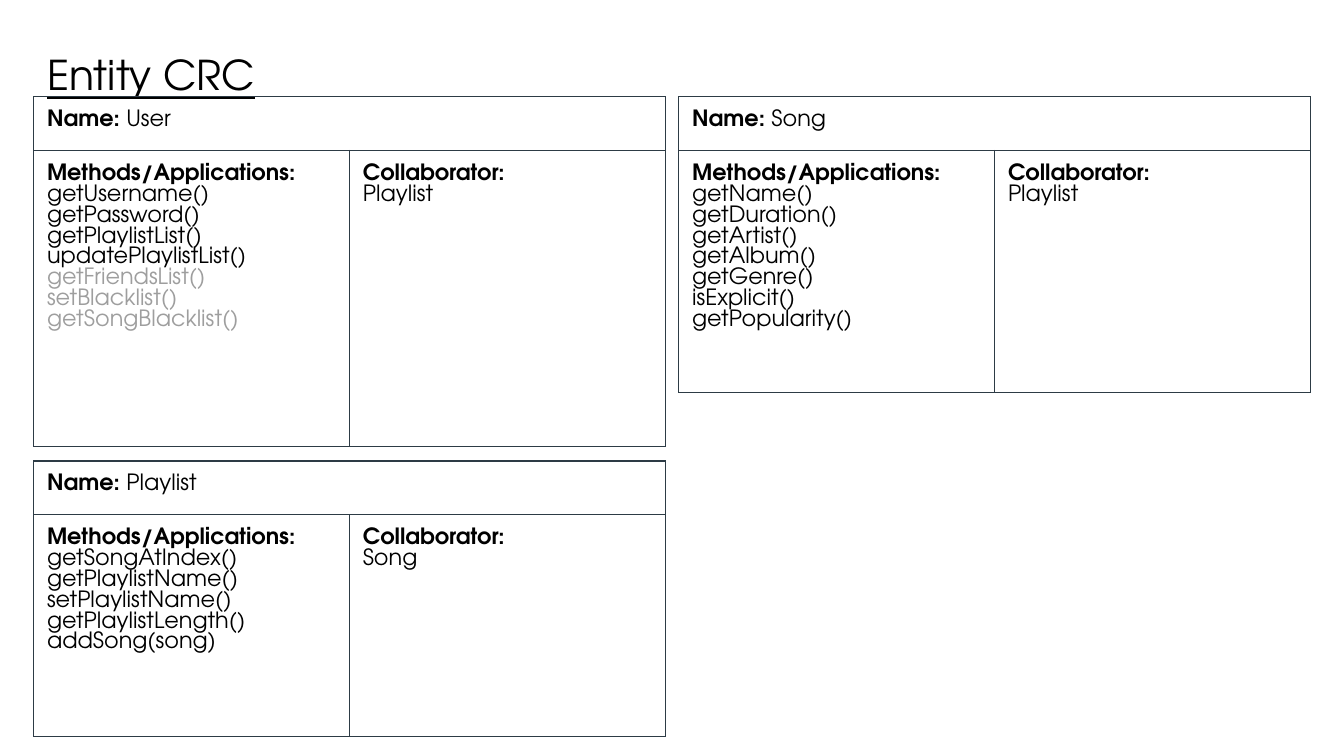
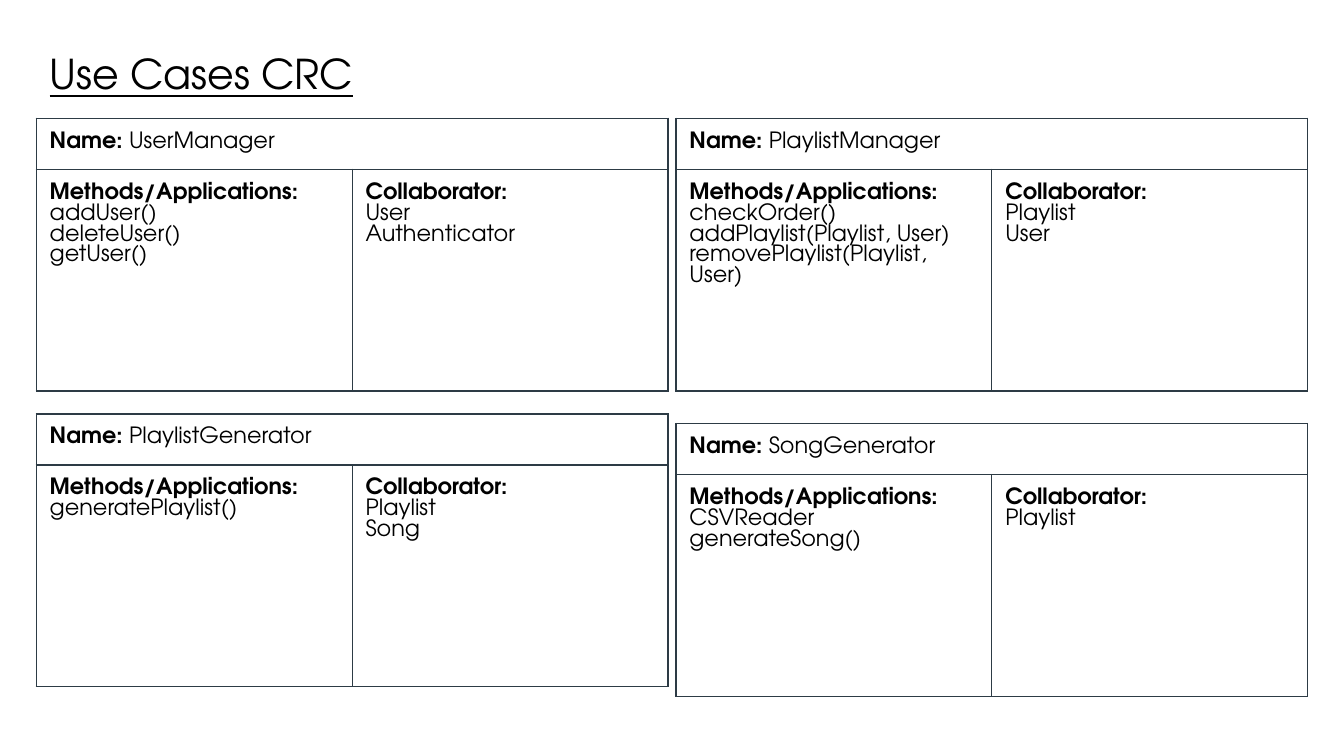
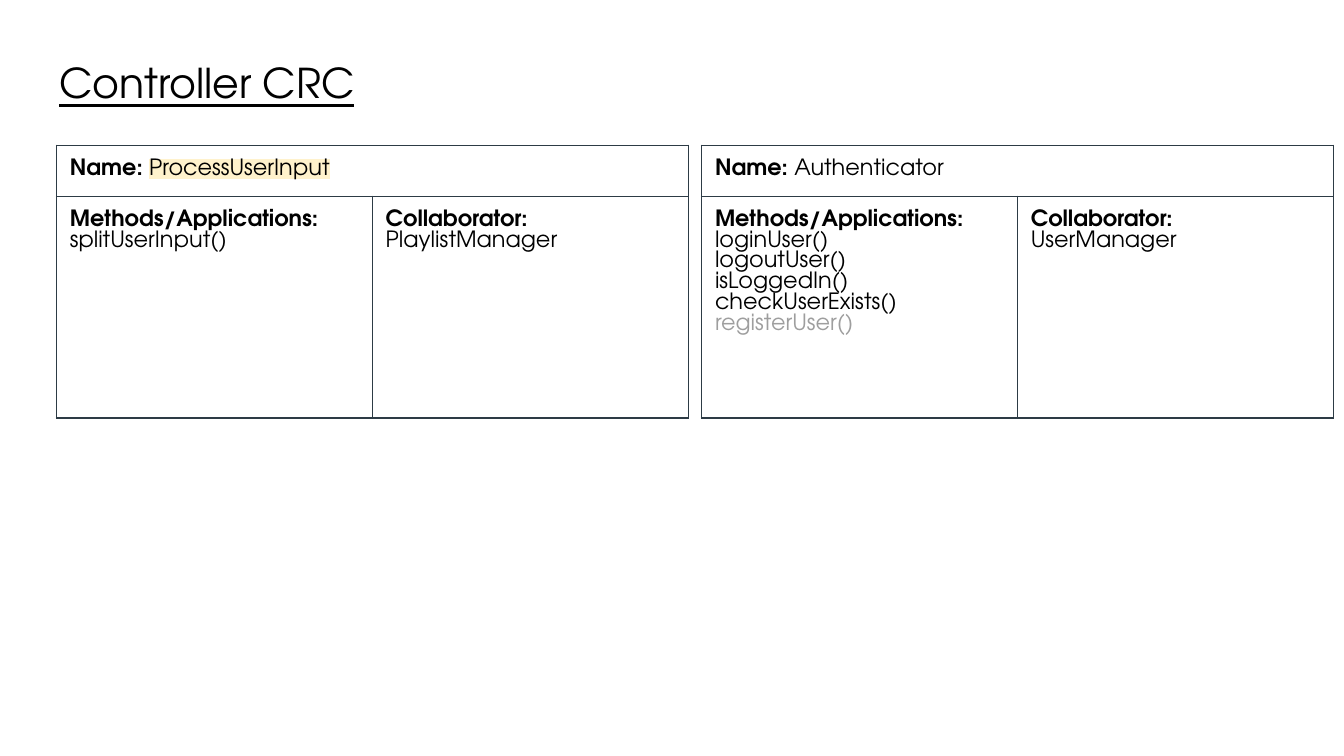
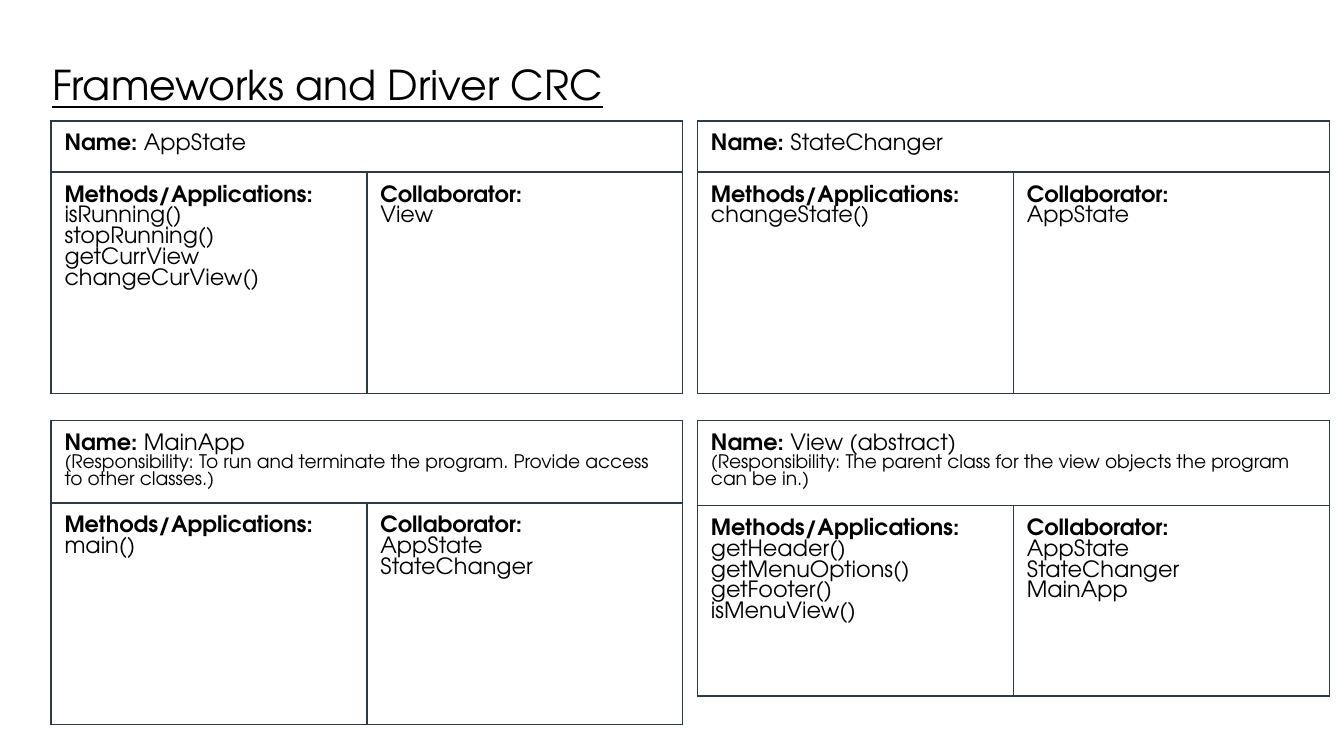
import dataclasses
import pptx
import pptx.dml.color
import pptx.enum.text
import pptx.oxml
import pptx.oxml.ns
import pptx.util

Inches = pptx.util.Inches
Pt = pptx.util.Pt

BLACK = pptx.dml.color.RGBColor(0x00, 0x00, 0x00)
GREY = pptx.dml.color.RGBColor(0x9E, 0x9E, 0x9E)
BORDER = pptx.dml.color.RGBColor(0x2D, 0x3B, 0x45)
CREAM = pptx.dml.color.RGBColor(0xFF, 0xF2, 0xCC)

FONT = "TeX Gyre Adventor"
TITLE = {"name": FONT, "size": Pt(22), "underline": True, "bold": False}
LABEL = {"name": FONT, "size": Pt(12), "bold": True}
ENTRY = {"name": FONT, "size": Pt(12), "bold": False}
NOTE = {"name": FONT, "size": Pt(10), "bold": False}

INSET = Inches(0.1)
FRAME = {f"margin_{side}": INSET for side in ("left", "right", "top", "bottom")}
TITLE_FRAME = {
    **FRAME,
    "word_wrap": True,
    "auto_size": pptx.enum.text.MSO_AUTO_SIZE.NONE,
    "vertical_anchor": pptx.enum.text.MSO_ANCHOR.TOP,
}
CELL_FRAME = {**FRAME, "vertical_anchor": pptx.enum.text.MSO_ANCHOR.TOP}
COLUMN_WIDTH = 2.35


@dataclasses.dataclass
class Card:
    name: str
    methods: list
    collaborators: list
    planned: tuple = ()
    responsibility: str = ""
    highlighted: bool = False
    name_height: float = 0.38
    body_height: float = 1.65


def set_format(target, values):
    for attribute, value in values.items():
        setattr(target, attribute, value)


def add_span(para, text, style, color=BLACK):
    span = para.add_run()
    span.text = text
    set_format(span.font, style)
    span.font.color.rgb = color
    return span


def highlight(span, color):
    fill = span.font.fill._xPr.find(pptx.oxml.ns.qn("a:solidFill"))
    fill.addnext(pptx.oxml.parse_xml(
        f'<a:highlight {pptx.oxml.ns.nsdecls("a")}>'
        f'<a:srgbClr val="{color}"/></a:highlight>'))


def format_cell(cell):
    set_format(cell, CELL_FRAME)
    cell.fill.background()
    properties = cell._tc.get_or_add_tcPr()
    for position, side in enumerate("LRTB"):
        properties.insert(position, pptx.oxml.parse_xml(
            f'<a:ln{side} {pptx.oxml.ns.nsdecls("a")} w="{Pt(0.75)}">'
            f'<a:solidFill><a:srgbClr val="{BORDER}"/></a:solidFill></a:ln{side}>'))


def fill_list(cell, label, entries, planned=()):
    frame = cell.text_frame
    add_span(frame.paragraphs[0], label, LABEL)
    for entry in entries:
        add_span(frame.add_paragraph(), entry, ENTRY)
    for entry in planned:
        add_span(frame.add_paragraph(), entry, ENTRY, GREY)


def fill_name(cell, card):
    frame = cell.text_frame
    add_span(frame.paragraphs[0], "Name: ", LABEL)
    name = add_span(frame.paragraphs[0], card.name, ENTRY)
    if card.highlighted:
        highlight(name, CREAM)
    if card.responsibility:
        add_span(frame.add_paragraph(), f"(Responsibility: {card.responsibility})", NOTE)


def add_card(page, left, top, card):
    heights = (card.name_height, card.body_height)
    table = page.shapes.add_table(
        2, 2, Inches(left), Inches(top),
        Inches(2 * COLUMN_WIDTH), Inches(sum(heights))).table
    table.first_row = table.horz_banding = False
    for column in table.columns:
        column.width = Inches(COLUMN_WIDTH)
    for row, height in zip(table.rows, heights):
        row.height = Inches(height)
    for cell in table.iter_cells():
        format_cell(cell)
    table.cell(0, 0).merge(table.cell(0, 1))
    fill_name(table.cell(0, 0), card)
    fill_list(table.cell(1, 0), "Methods/Applications:", card.methods, card.planned)
    fill_list(table.cell(1, 1), "Collaborator:", card.collaborators)


def add_title(page, text, box):
    title = page.shapes.title
    set_format(title, dict(zip(("left", "top", "width", "height"), map(Inches, box))))
    set_format(title.text_frame, TITLE_FRAME)
    para = title.text_frame.paragraphs[0]
    para.alignment = pptx.enum.text.PP_ALIGN.LEFT
    add_span(para, text, TITLE)


def add_card_page(deck, title, title_box, cards):
    page = deck.slides.add_slide(deck.slide_layouts[5])
    add_title(page, title, title_box)
    for left, top, card in cards:
        add_card(page, left, top, card)


deck = pptx.Presentation()
deck.slide_width = Inches(10)
deck.slide_height = deck.slide_width * 9 // 16

add_card_page(deck, "Entity CRC", (0.25, 0.27, 3.2, 0.57), [
    (0.25, 0.72, Card(
        "User",
        ["getUsername()", "getPassword()", "getPlaylistList()", "updatePlaylistList()"],
        ["Playlist"],
        planned=("getFriendsList()", "setBlacklist()", "getSongBlacklist()"),
        name_height=0.4, body_height=2.2)),
    (0.25, 3.43, Card(
        "Playlist",
        ["getSongAtIndex()", "getPlaylistName()", "setPlaylistName()",
         "getPlaylistLength()", "addSong(song)"],
        ["Song"],
        name_height=0.4)),
    (5.05, 0.72, Card(
        "Song",
        ["getName()", "getDuration()", "getArtist()", "getAlbum()", "getGenre()",
         "isExplicit()", "getPopularity()"],
        ["Playlist"],
        name_height=0.4, body_height=1.8)),
])

add_card_page(deck, "Use Cases CRC", (0.27, 0.26, 9.32, 0.63), [
    (0.27, 0.88, Card(
        "UserManager", ["addUser()", "deleteUser()", "getUser()"],
        ["User", "Authenticator"])),
    (0.27, 3.08, Card(
        "PlaylistGenerator", ["generatePlaylist()"], ["Playlist", "Song"])),
    (5.03, 0.88, Card(
        "PlaylistManager",
        ["checkOrder()", "addPlaylist(Playlist, User)", "removePlaylist(Playlist, User)"],
        ["Playlist", "User"])),
    (5.03, 3.15, Card(
        "SongGenerator", ["CSVReader", "generateSong()"], ["Playlist"])),
])

add_card_page(deck, "Controller CRC", (0.34, 0.33, 9.32, 0.63), [
    (0.42, 1.08, Card(
        "ProcessUserInput", ["splitUserInput()"], ["PlaylistManager"],
        highlighted=True)),
    (5.22, 1.08, Card(
        "Authenticator",
        ["loginUser()", "logoutUser()", "isLoggedIn()", "checkUserExists()"],
        ["UserManager"],
        planned=("registerUser()",))),
])

add_card_page(deck, "Frameworks and Driver CRC", (0.29, 0.34, 9.32, 0.63), [
    (0.38, 0.9, Card(
        "AppState",
        ["isRunning()", "stopRunning()", "getCurrView", "changeCurView()"],
        ["View"])),
    (0.38, 3.13, Card(
        "MainApp", ["main()"], ["AppState", "StateChanger"],
        responsibility="To run and terminate the program. "
                       "Provide access to other classes.",
        name_height=0.61)),
    (5.19, 3.13, Card(
        "View (abstract)",
        ["getHeader()", "getMenuOptions()", "getFooter()", "isMenuView()"],
        ["AppState", "StateChanger", "MainApp"],
        responsibility="The parent class for the view objects "
                       "the program can be in.",
        name_height=0.63, body_height=1.42)),
    (5.19, 0.9, Card("StateChanger", ["changeState()"], ["AppState"])),
])

deck.save("out.pptx")
